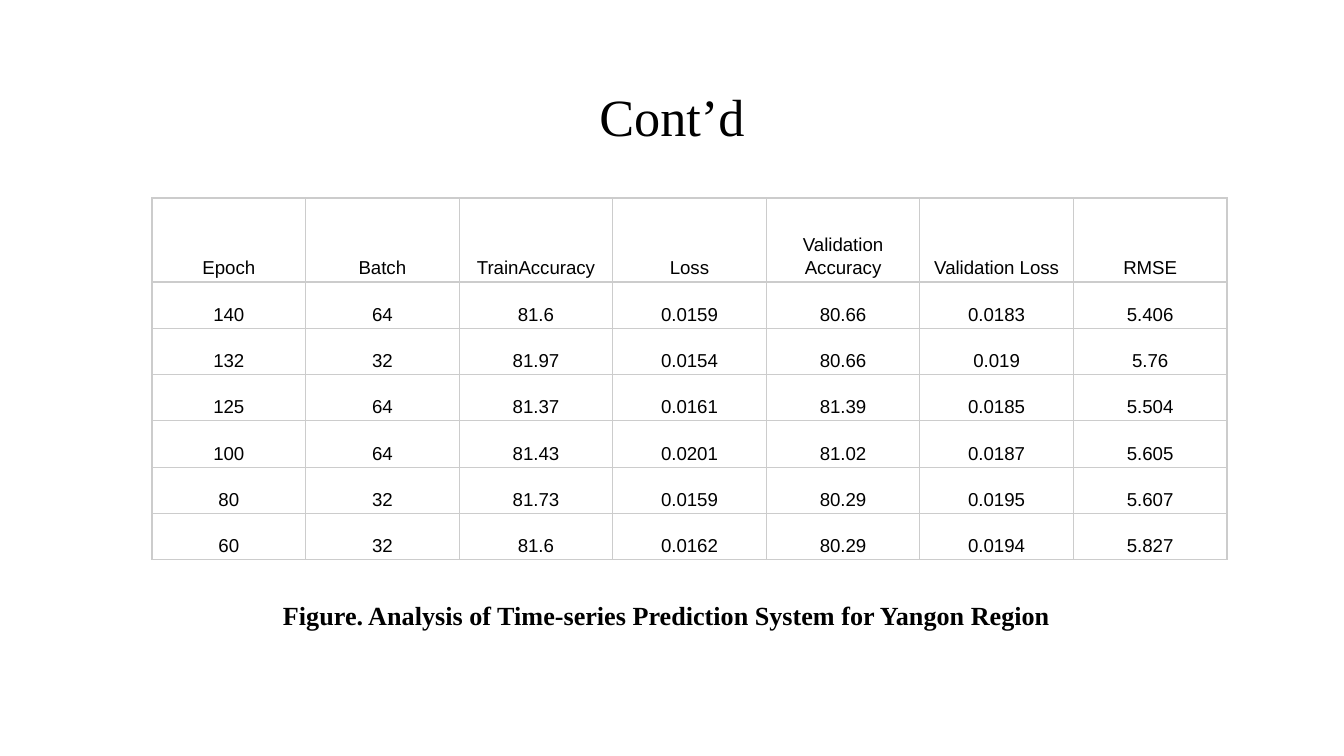
from dataclasses import dataclass

from lxml.etree import SubElement
from pptx import Presentation
from pptx.dml.color import RGBColor as Color
from pptx.enum.text import MSO_ANCHOR as Anchor, PP_ALIGN as Align
from pptx.oxml.ns import qn
from pptx.util import Emu, Pt

PX = 914400 / 134.4


def px(length):
    return Emu(round(length * PX))


@dataclass(frozen=True)
class Theme:
    ink: str = "000000"
    paper: str = "FFFFFF"
    grid: str = "CCCCCC"
    grid_width: float = 0.75
    serif: str = "Times New Roman"
    sans: str = "Arial"
    title_size: int = 28
    caption_size: int = 14
    cell_size: int = 10


class SlideBuilder:
    def __init__(self, deck, theme):
        self.theme = theme
        self.page = deck.slides.add_slide(deck.slide_layouts[5])
        fill = self.page.background.fill
        fill.solid()
        fill.fore_color.rgb = Color.from_string(theme.paper)

    def set_all(self, target, values):
        for name, value in values.items():
            setattr(target, name, value)

    def place(self, box, left, top, width, height):
        self.set_all(box, {"left": px(left), "top": px(top),
                           "width": px(width), "height": px(height)})

    def add_text(self, frame, text, font, size, bold=False, **layout):
        para = frame.paragraphs[0]
        self.set_all(para, layout)
        span = para.add_run()
        span.text = text
        self.set_all(span.font, {"name": font, "size": Pt(size), "bold": bold})
        span.font.color.rgb = Color.from_string(self.theme.ink)
        return para

    def frame(self, box, side, top, bottom, anchor):
        self.set_all(box.text_frame, {
            "margin_left": px(side), "margin_right": px(side),
            "margin_top": px(top), "margin_bottom": px(bottom),
            "word_wrap": True, "vertical_anchor": anchor})
        return box.text_frame

    def title(self, text, *area):
        box = self.page.shapes.title
        self.place(box, *area)
        # The larger top margin sets the heading's baseline
        frame = self.frame(box, 13, 18, 8, Anchor.TOP)
        self.add_text(frame, text, self.theme.serif, self.theme.title_size,
                      alignment=Align.CENTER)

    def caption(self, text, indent, *area):
        box = self.page.shapes.add_textbox(*map(px, area))
        frame = self.frame(box, 13, 13, 13, Anchor.TOP)
        para = self.add_text(frame, text, self.theme.serif,
                             self.theme.caption_size, True,
                             alignment=Align.LEFT, line_spacing=1.15)
        properties = para._p.get_or_add_pPr()
        properties.set("marL", str(px(indent)))
        properties.set("indent", "0")

    def table(self, rows, left, top, width, header_height, body_height):
        count = len(rows[0])
        table = self.page.shapes.add_table(
            len(rows), count, px(left), px(top), px(width),
            px(header_height + body_height)).table
        self.set_all(table, {"first_row": False, "horz_banding": False})
        for column in table.columns:
            column.width = px(width / count)
        for index, row in enumerate(table.rows):
            row.height = px(body_height / (len(rows) - 1) if index
                            else header_height)
        for cell, text in zip(table.iter_cells(), sum(rows, [])):
            self.cell(cell, text)

    def cell(self, cell, text):
        self.set_all(cell, {
            "margin_left": px(4), "margin_right": px(4),
            "margin_top": px(3), "margin_bottom": px(3),
            "vertical_anchor": Anchor.BOTTOM})
        self.add_text(cell.text_frame, text, self.theme.sans,
                      self.theme.cell_size,
                      alignment=Align.CENTER, line_spacing=1.15)
        # Borders come before the fill in the cell properties
        properties = cell._tc.get_or_add_tcPr()
        for side in ("lnL", "lnR", "lnT", "lnB"):
            line = SubElement(properties, qn(f"a:{side}"),
                              w=str(Pt(self.theme.grid_width)))
            fill = SubElement(line, qn("a:solidFill"))
            SubElement(fill, qn("a:srgbClr"), val=self.theme.grid)
        cell.fill.background()


RESULTS = [
    ["Epoch", "Batch", "TrainAccuracy", "Loss", "Validation Accuracy",
     "Validation Loss", "RMSE"],
    ["140", "64", "81.6", "0.0159", "80.66", "0.0183", "5.406"],
    ["132", "32", "81.97", "0.0154", "80.66", "0.019", "5.76"],
    ["125", "64", "81.37", "0.0161", "81.39", "0.0185", "5.504"],
    ["100", "64", "81.43", "0.0201", "81.02", "0.0187", "5.605"],
    ["80", "32", "81.73", "0.0159", "80.29", "0.0195", "5.607"],
    ["60", "32", "81.6", "0.0162", "80.29", "0.0194", "5.827"],
]


def main():
    deck = Presentation()
    deck.slide_width, deck.slide_height = px(1344), px(756)
    slide = SlideBuilder(deck, Theme())

    # Heading
    slide.title("Cont’d", 46, 66, 1252, 85)

    # Training results
    slide.table(RESULTS, 152, 198, 1075, 84, 278)

    # Caption
    slide.caption("Figure. Analysis of Time-series Prediction System "
                  "for Yangon Region", 67, 203, 582, 1023, 120)

    deck.save("out.pptx")


if __name__ == "__main__":
    main()
